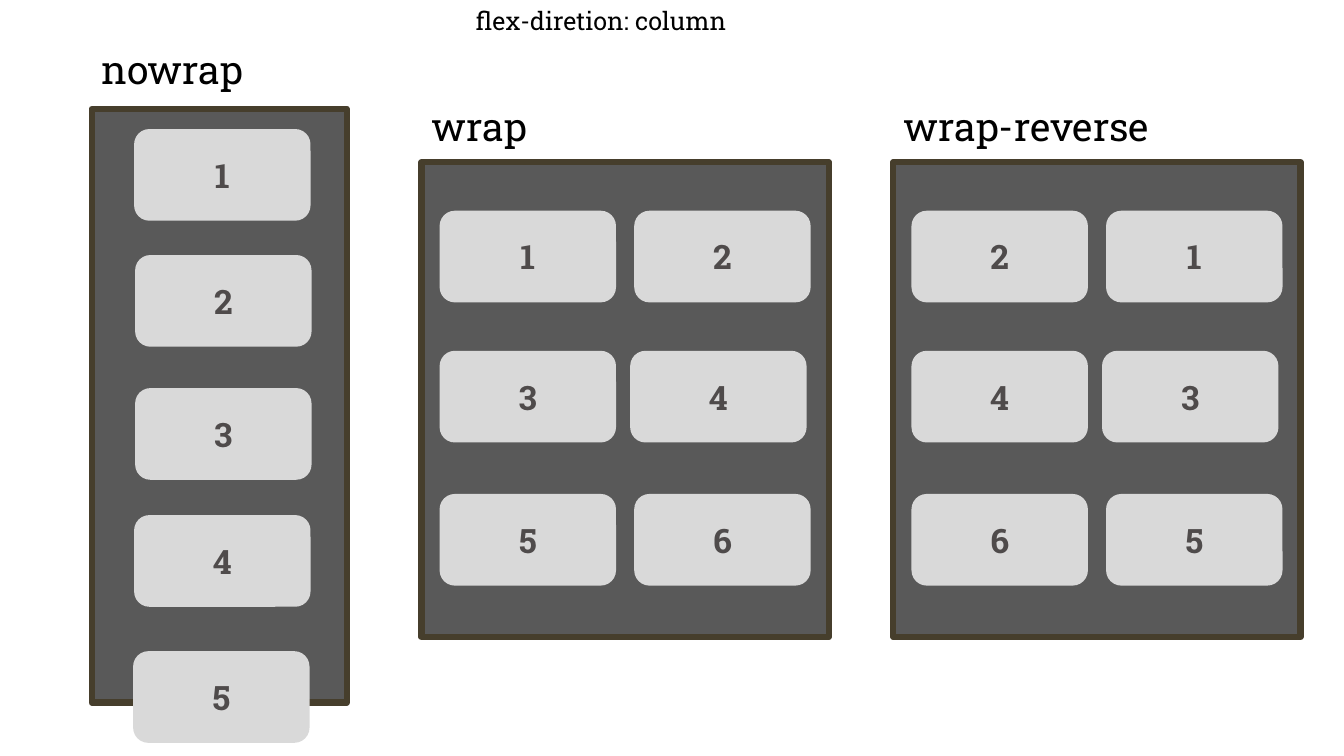
import pptx
import pptx.dml.color
import pptx.enum.shapes
import pptx.enum.text
import pptx.util

Inches = pptx.util.Inches
Kind = pptx.enum.shapes.MSO_SHAPE
Anchor = pptx.enum.text.MSO_ANCHOR
Align = pptx.enum.text.PP_ALIGN


class Board:
    """Draws flex containers, items and labels on one slide."""

    hues = {"panel": "595959", "edge": "463E2C", "item": "D9D9D9",
            "digit": "4F4B4B", "text": "000000"}
    face = "Roboto Slab"

    def __init__(self, slide):
        self.slide = slide

    def hue(self, name):
        return pptx.dml.color.RGBColor.from_string(self.hues[name])

    def letter(self, shape, text, size, hue, align, anchor, bold=False):
        frame = shape.text_frame
        frame.word_wrap = True
        frame.auto_size = pptx.enum.text.MSO_AUTO_SIZE.NONE
        frame.vertical_anchor = anchor
        frame.margin_left = frame.margin_right = Inches(0.1)
        frame.margin_top = frame.margin_bottom = Inches(0.05)
        para = frame.paragraphs[0]
        para.alignment = align
        run = para.add_run()
        run.text = text
        run.font.name = self.face
        run.font.size = pptx.util.Pt(size)
        run.font.bold = bold
        run.font.color.rgb = self.hue(hue)

    def title(self, text, *box):
        shape = self.slide.shapes.title
        shape.left, shape.top, shape.width, shape.height = map(Inches, box)
        self.letter(shape, text, 18, "text", Align.LEFT, Anchor.TOP)

    def label(self, text, *box):
        shape = self.slide.shapes.add_textbox(*map(Inches, box))
        self.letter(shape, text, 28, "text", Align.LEFT, Anchor.TOP)

    def block(self, kind, fill, *box):
        shape = self.slide.shapes.add_shape(kind, *map(Inches, box))
        shape.shadow.inherit = False
        shape.fill.solid()
        shape.fill.fore_color.rgb = self.hue(fill)
        shape.line.fill.background()
        return shape

    def panel(self, *box):
        shape = self.block(Kind.RECTANGLE, "panel", *box)
        shape.line.color.rgb = self.hue("edge")
        shape.line.width = pptx.util.Pt(4.5)

    def item(self, text, left, top):
        shape = self.block(Kind.ROUNDED_RECTANGLE, "item", left, top, 1.75, 0.91)
        self.letter(shape, text, 24, "digit", Align.CENTER, Anchor.MIDDLE, True)


def main():
    deck = pptx.Presentation()
    deck.slide_width, deck.slide_height = Inches(13.33), Inches(7.5)
    board = Board(deck.slides.add_slide(deck.slide_layouts[5]))
    board.title("flex-diretion: column", 4.62, 0, 2.74, 0.4)

    board.label("nowrap", 0.91, 0.4, 1.73, 0.57)
    board.panel(0.91, 1.08, 2.53, 5.89)
    stack = [(1.33, 1.28), (1.34, 2.53), (1.34, 3.85), (1.33, 5.11), (1.32, 6.46)]
    for num, spot in enumerate(stack, 1):
        board.item(str(num), *spot)

    spots = [(0.18, 2.09), (2.11, 2.09), (0.18, 3.48),
             (2.07, 3.48), (0.18, 4.9), (2.11, 4.9)]
    wraps = [("wrap", "123456", 4.18, 1.73), ("wrap-reverse", "214365", 8.86, 2.76)]
    for name, order, left, width in wraps:
        board.label(name, left, 0.97, width, 0.57)
        board.panel(left, 1.61, 4.04, 4.71)
        for num, (step, top) in zip(order, spots):
            board.item(num, left + step, top)

    deck.save("out.pptx")


if __name__ == "__main__":
    main()
